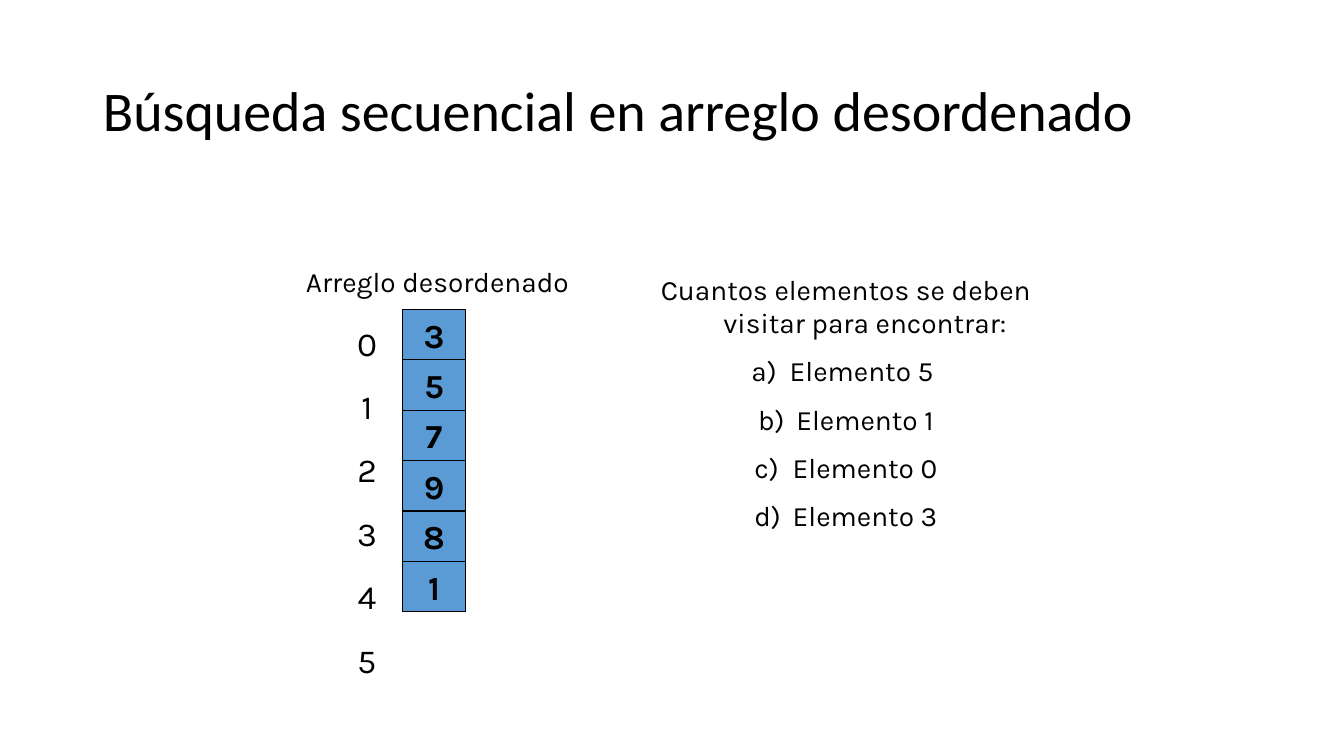
from pptx import Presentation
from pptx.dml.color import RGBColor
from pptx.enum.shapes import MSO_SHAPE
from pptx.enum.text import MSO_ANCHOR as ANCHOR, MSO_AUTO_SIZE as AUTO, PP_ALIGN as ALIGN
from pptx.oxml.xmlchemy import OxmlElement
from pptx.util import Inches, Pt

BLACK = RGBColor(0x00, 0x00, 0x00)
BLUE = RGBColor(0x5B, 0x9B, 0xD5)


def write(tf, lines, size, font="Karla", align=ALIGN.CENTER, bold=False, gap=0):
    """Fill a text frame with one paragraph per line, gap points apart."""
    for i, line in enumerate(lines):
        p = tf.paragraphs[0] if i == 0 else tf.add_paragraph()
        p.alignment = align
        p.space_before = Pt(gap if i else 0)
        r = p.add_run()
        r.text = line
        r.font.name, r.font.size, r.font.bold = font, Pt(size), bold
        r.font.color.rgb = BLACK


def add_text(shapes, left, top, width, height, lines, **fmt):
    tf = shapes.add_textbox(Inches(left), Inches(top), Inches(width), Inches(height)).text_frame
    tf.word_wrap = True
    tf.auto_size = AUTO.SHAPE_TO_FIT_TEXT
    write(tf, lines, **fmt)
    return tf


prs = Presentation()
prs.slide_width, prs.slide_height = Inches(13.33), Inches(7.5)
slide = prs.slides.add_slide(prs.slide_layouts[5])

# Title
title = slide.shapes.title
title.left, title.top = Inches(0.92), Inches(0.4)
title.width, title.height = Inches(11.5), Inches(1.45)
tf = title.text_frame
tf.vertical_anchor = ANCHOR.MIDDLE
tf.auto_size = AUTO.NONE
write(tf, ["Búsqueda secuencial en arreglo desordenado"], size=40, font="Calibri", align=ALIGN.LEFT)
tf.paragraphs[0].line_spacing = 0.9

# Question with lettered options
question = add_text(
    slide.shapes, 6.35, 2.65, 4.08, 2.77,
    ["Cuantos elementos se deben visitar para encontrar:",
     "Elemento 5 ", "Elemento 1", "Elemento 0", "Elemento 3"],
    size=20, gap=10.5)
for i, p in enumerate(question.paragraphs):
    pPr = p._p.get_or_add_pPr()
    pPr.set("marL", str(Inches(0.38)))
    pPr.set("indent", str(Inches(-0.38)))
    if i:
        font = OxmlElement("a:buFont")
        font.set("typeface", "Karla")
        number = OxmlElement("a:buAutoNum")
        number.set("type", "alphaLcParenR")
        pPr.extend([font, number])

# Array: indexes beside stacked cells
values = [3, 5, 7, 9, 8, 1]
array = slide.shapes.add_group_shape().shapes
add_text(array, 3.32, 3.15, 0.64, 3.83, [str(i) for i in range(len(values))], size=24, gap=16.5)
for i, value in enumerate(values):
    cell = array.add_shape(MSO_SHAPE.RECTANGLE, Inches(3.99), Inches(3.07 + 0.5 * i),
                           Inches(0.63), Inches(0.5))
    cell.shadow.inherit = False
    cell.fill.solid()
    cell.fill.fore_color.rgb = BLUE
    cell.line.color.rgb = BLACK
    cell.line.width = Pt(0.75)
    tf = cell.text_frame
    tf.word_wrap = False
    tf.vertical_anchor = ANCHOR.MIDDLE
    write(tf, [str(value)], size=24, bold=True)

add_text(slide.shapes, 2.57, 2.57, 3.54, 0.43, ["Arreglo desordenado"], size=20)

prs.save("out.pptx")
